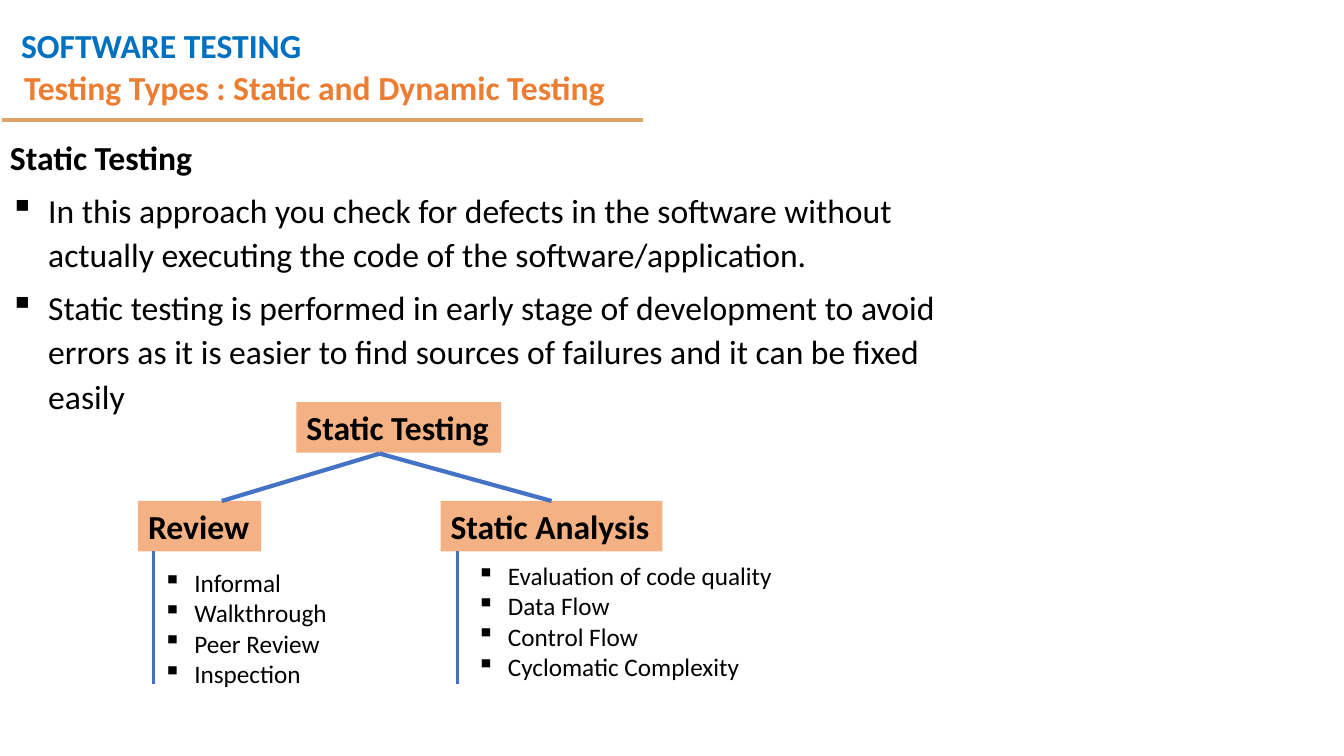
from lxml.etree import SubElement
from pptx import Presentation
from pptx.dml.color import RGBColor
from pptx.enum.shapes import MSO_CONNECTOR, MSO_SHAPE
from pptx.enum.text import MSO_ANCHOR, MSO_AUTO_SIZE, PP_ALIGN
from pptx.oxml.ns import qn
from pptx.util import Inches, Pt

SLIDE_WIDTH, SLIDE_HEIGHT = Inches(13.33), Inches(7.5)
FONT = "Calibri"
BLACK, BLUE, ORANGE = "000000", "0070C0", "ED7D31"
RULE, PEACH, BRANCH = "DFA267", "F4B183", "4472C4"

# Positions and sizes are percentages of the slide's width and height.
RULE_TOP = 15.87
ROOT_TOP, ROOT_BOTTOM = 53.2, 60
CHILD_TOP, CHILD_BOTTOM = 66.27, 72.93
LABEL_HEIGHT, STEM_BOTTOM = 6.67, 90.53
LIST_HEIGHT = 17.47
FORK = 28.25

INTRO = [
    "In this approach you check for defects in the software without actually "
    "executing the code of the software/application.",
    "Static testing is performed in early stage of development to avoid errors "
    "as it is easier to find sources of failures and it can be fixed easily",
]

# label, left, width, branch end, stem, list left, list top, list width, items
CHILDREN = [
    ("Review", 10.28, 9.15, 16.5, 11.4, 11.4, 74.4, 13.8,
     ["Informal", "Walkthrough", "Peer Review", "Inspection"]),
    ("Static Analysis", 32.78, 16.5, 41.04, 34.06, 34.73, 73.47, 23.78,
     ["Evaluation of code quality", "Data Flow", "Control Flow",
      "Cyclomatic Complexity"]),
]


def color(value):
    return RGBColor.from_string(value)


def across(share):
    return round(SLIDE_WIDTH * share / 100)


def down(share):
    return round(SLIDE_HEIGHT * share / 100)


def place(left, top, width, height):
    return across(left), down(top), across(width), down(height)


def format_para(para, size=24, ink=BLACK, bold=False, spacing=1.0, before=0):
    para.alignment = PP_ALIGN.LEFT
    para.line_spacing = spacing
    para.space_before = Pt(before)
    for span in para.runs:
        span.font.name = FONT
        span.font.size = Pt(size)
        span.font.bold = bold
        span.font.color.rgb = color(ink)


def add_bullet(para, indent):
    properties = para._p.get_or_add_pPr()
    properties.set("marL", str(Inches(indent)))
    properties.set("indent", str(-Inches(indent)))
    SubElement(properties, qn("a:buChar")).set("char", "▪")


def add_text(page, area, lines, wrap=True):
    """Add a text box with one paragraph per line and return its text frame."""
    frame = page.shapes.add_textbox(*place(*area)).text_frame
    frame.word_wrap = wrap
    frame.auto_size = MSO_AUTO_SIZE.SHAPE_TO_FIT_TEXT
    frame.text = "\n".join(lines)
    return frame


def add_heading(page, area, text, ink, spacing):
    frame = add_text(page, area, [text])
    format_para(frame.paragraphs[0], ink=ink, bold=True, spacing=spacing)
    return frame


def add_intro(page):
    frame = add_text(page, (0, RULE_TOP, 74.04, 47.73),
                     ["Static Testing"] + INTRO)
    title, *points = frame.paragraphs
    format_para(title, bold=True, spacing=1.3, before=6)
    for para in points:
        format_para(para, spacing=1.1, before=6)
        add_bullet(para, 0.38)


def add_label(page, left, top, width, text):
    box = page.shapes.add_shape(
        MSO_SHAPE.RECTANGLE, *place(left, top, width, LABEL_HEIGHT))
    box.shadow.inherit = False
    box.fill.solid()
    box.fill.fore_color.rgb = color(PEACH)
    box.line.fill.background()
    frame = box.text_frame
    frame.word_wrap = False
    frame.auto_size = MSO_AUTO_SIZE.SHAPE_TO_FIT_TEXT
    frame.vertical_anchor = MSO_ANCHOR.TOP
    frame.text = text
    format_para(frame.paragraphs[0], bold=True)


def add_line(page, start, end, ink, weight):
    line = page.shapes.add_connector(
        MSO_CONNECTOR.STRAIGHT,
        across(start[0]), down(start[1]), across(end[0]), down(end[1]))
    line.line.color.rgb = color(ink)
    line.line.width = Pt(weight)
    SubElement(line._element.spPr, qn("a:effectLst"))


def add_list(page, area, items):
    for para in add_text(page, area, items, wrap=False).paragraphs:
        format_para(para, size=18)
        add_bullet(para, 0.31)


def add_child(page, label, left, width, branch_end, stem,
              list_left, list_top, list_width, items):
    """Add a label with its branch from the root, its stem and its list."""
    add_label(page, left, CHILD_TOP, width, label)
    add_line(page, (stem, CHILD_BOTTOM), (stem, STEM_BOTTOM), BRANCH, 2.25)
    add_list(page, (list_left, list_top, list_width, LIST_HEIGHT), items)
    add_line(page, (FORK, ROOT_BOTTOM), (branch_end, CHILD_TOP), BRANCH, 3)


def main():
    deck = Presentation()
    deck.slide_width, deck.slide_height = SLIDE_WIDTH, SLIDE_HEIGHT
    page = deck.slides.add_slide(deck.slide_layouts[6])

    add_heading(page, (0.83, 0, 41.86, 8.53), "SOFTWARE TESTING", BLUE, 1.5)
    add_line(page, (0.15, RULE_TOP), (47.86, RULE_TOP), RULE, 3)
    topic = add_heading(page, (1.05, 7.73, 86.27, 8.13),
                        "Testing Types : Static and Dynamic Testing",
                        ORANGE, 0.9)
    topic.auto_size = MSO_AUTO_SIZE.NONE
    topic.vertical_anchor = MSO_ANCHOR.MIDDLE

    add_intro(page)
    add_label(page, 22.06, ROOT_TOP, 15.23, "Static Testing")
    for child in CHILDREN:
        add_child(page, *child)

    deck.save("out.pptx")


if __name__ == "__main__":
    main()
